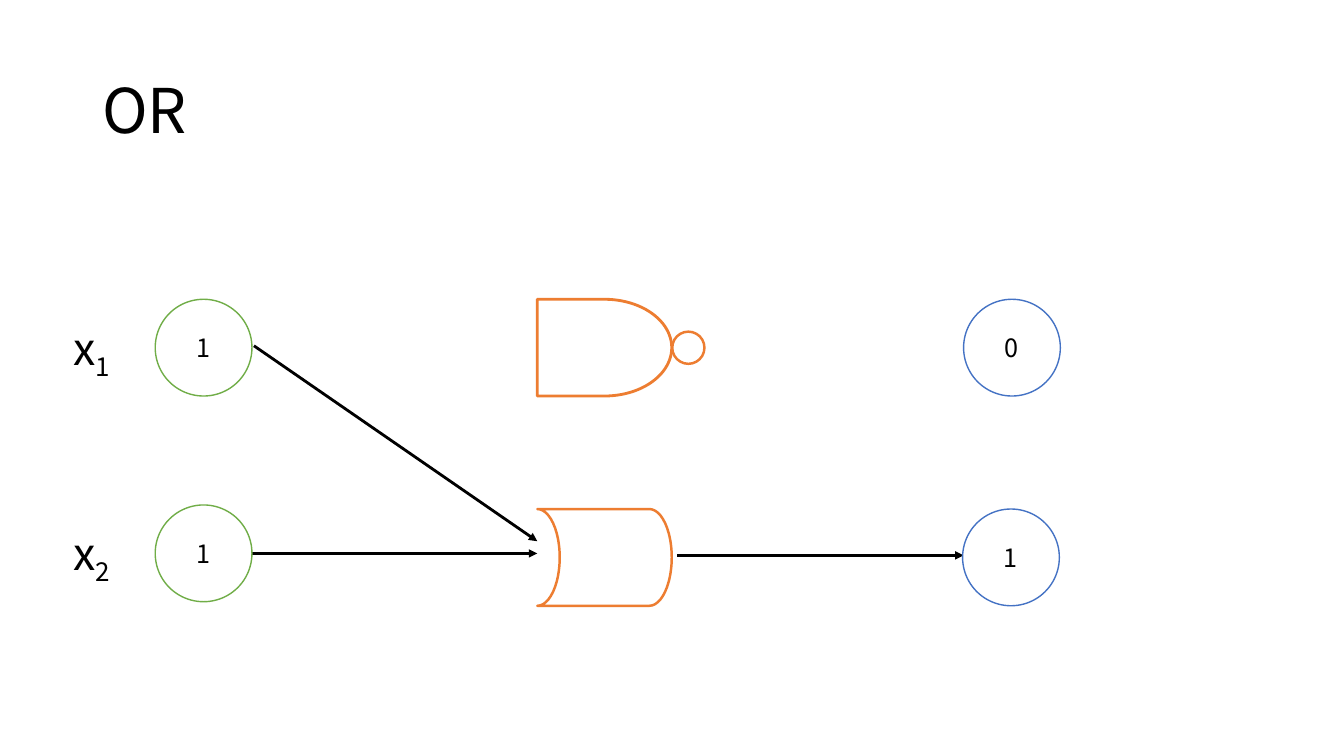
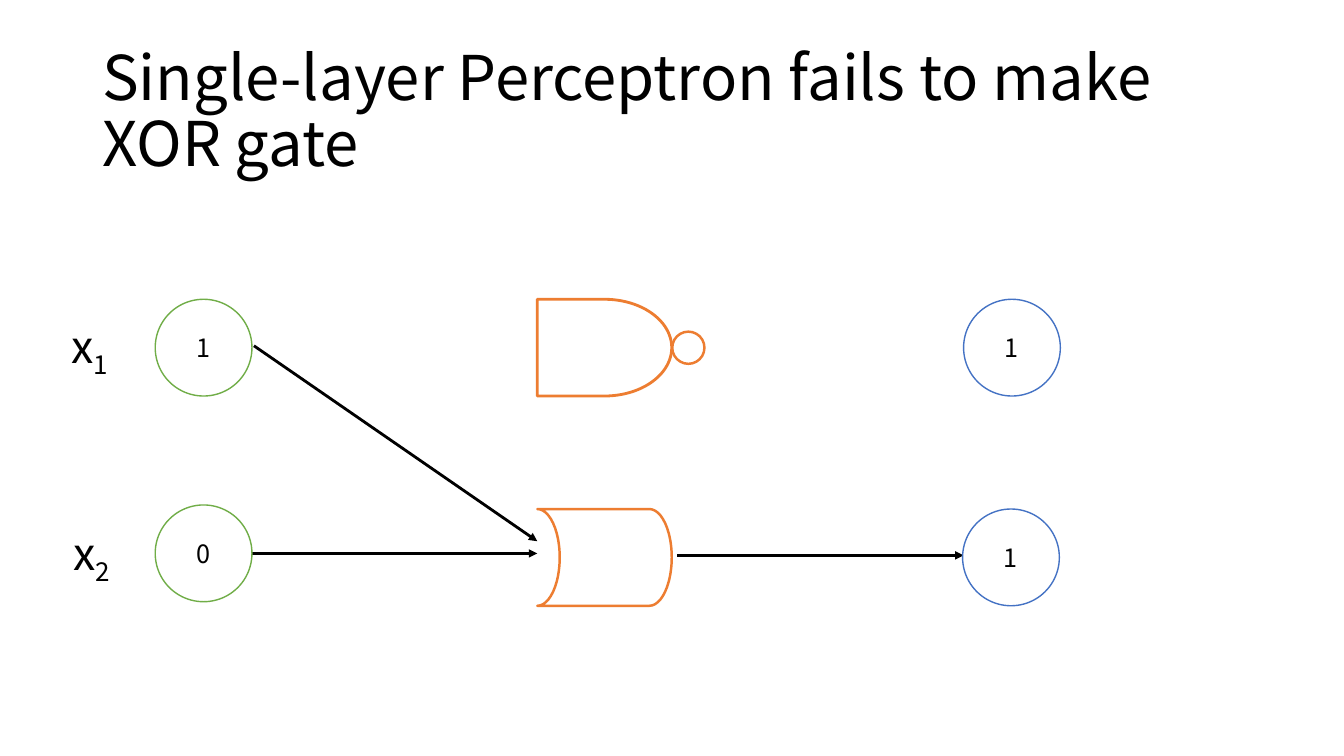
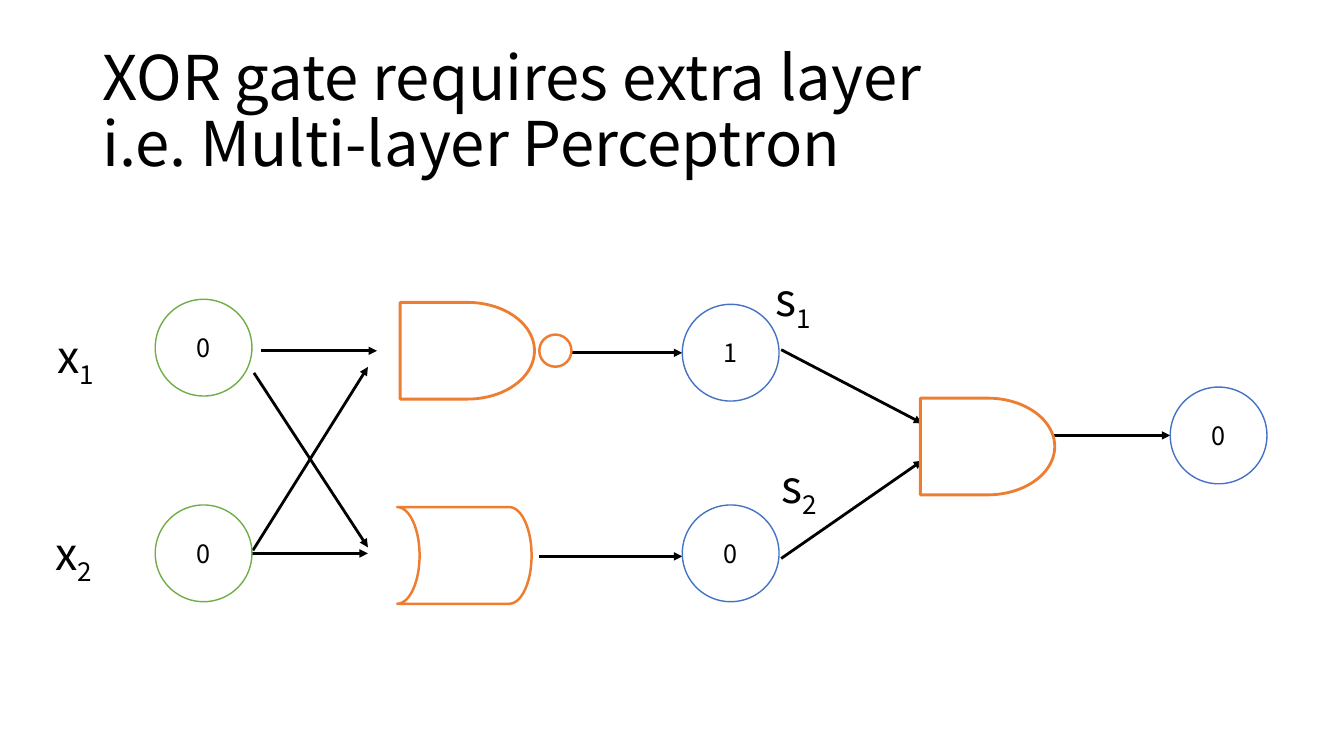
"""Builds three slides on perceptron logic gates."""
from lxml.etree import SubElement
from pptx import Presentation
from pptx.dml.color import RGBColor
from pptx.enum.shapes import MSO_CONNECTOR as Link, MSO_SHAPE as Kind
from pptx.enum.text import MSO_ANCHOR as Anchor, MSO_AUTO_SIZE as Fit, PP_ALIGN as Align
from pptx.oxml.ns import qn
from pptx.util import Pt

FONT = "Noto Sans CJK KR"
BLACK = RGBColor(0x00, 0x00, 0x00)
WHITE = RGBColor(0xFF, 0xFF, 0xFF)
GREEN = RGBColor(0x70, 0xAD, 0x47)
ORANGE = RGBColor(0xED, 0x7D, 0x31)
BLUE = RGBColor(0x44, 0x72, 0xC4)

NODE = 69.1
GATE = 96
BUBBLE = 23
INPUT_X = 110.9
INPUT_Y = (213.8, 360.7)

GATES = {
    "and": (Kind.FLOWCHART_DELAY, GATE, NODE, 2, 0),
    "or": (Kind.FLOWCHART_STORED_DATA, GATE, NODE, 1.75, 180),
    "not": (Kind.OVAL, BUBBLE, BUBBLE, 1.75, 0),
}


def single(title, inputs, outputs, label):
    return {
        "title": title,
        "inputs": inputs,
        "arrows": [
            (179.3, 395.3, 383.8, 395.3),
            (181.4, 247, 383.8, 386.6),
            (483.8, 396.7, 688.3, 396.7),
        ],
        "gates": [("and", 383.8, 213.8), ("or", 383.8, 363.6), ("not", 480.2, 236.9)],
        "outputs": [(outputs[0], 688.3, 213.8), (outputs[1], 687.6, 363.6)],
        "labels": [("x1", *label), ("x2", 45.4, 372.2)],
    }


SLIDES = [
    single("OR", "11", "01", (45.4, 225.4)),
    single("Single-layer Perceptron fails to make XOR gate", "10", "11", (43.9, 223.9)),
    {
        "title": "XOR gate requires extra layer \vi.e. Multi-layer Perceptron",
        "inputs": "00",
        "arrows": [
            (179.3, 395.3, 262.8, 395.3),
            (181.4, 266.4, 262.8, 391),
            (186.5, 250.6, 269.3, 250.6),
            (180.7, 393.1, 262.8, 262.1),
            (385.2, 252, 487.4, 252),
            (385.2, 397.4, 487.4, 397.4),
            (558, 249.8, 658.8, 302.4),
            (558, 398.9, 658.8, 329),
            (753.1, 311, 835.9, 311),
        ],
        "gates": [
            ("and", 285.8, 216),
            ("or", 283.7, 362.2),
            ("not", 385.2, 239),
            ("and", 657.4, 284.4),
        ],
        "outputs": [("1", 487.4, 217.4), ("0", 487.4, 360.7), ("0", 835.9, 276.5)],
        "labels": [
            ("x1", 33.8, 231.1),
            ("x2", 32.4, 372.2),
            ("s1", 547.2, 190.8),
            ("s2", 550.8, 324),
        ],
    },
]


def style(para, size):
    for run in para.runs:
        run.font.name = FONT
        run.font.size = Pt(size)
        run.font.color.rgb = BLACK


def add_text(slide, x, y, wide, high):
    box = slide.shapes.add_textbox(Pt(x), Pt(y), Pt(wide), Pt(high))
    return box.text_frame


def add_title(slide, text):
    frame = add_text(slide, 66, 28.8, 828, 104.4)
    frame.word_wrap = True
    frame.vertical_anchor = Anchor.MIDDLE
    frame.text = text
    para = frame.paragraphs[0]
    para.line_spacing = 0.9
    style(para, 44)


def add_label(slide, name, x, y):
    frame = add_text(slide, x, y, 41.8, 46.1)
    frame.word_wrap = False
    frame.auto_size = Fit.SHAPE_TO_FIT_TEXT
    para = frame.paragraphs[0]
    for char in name:
        para.add_run().text = char
    style(para, 32)
    para.runs[1].font._element.set("baseline", "-25000")


def add_form(slide, kind, x, y, wide, high, color, width):
    form = slide.shapes.add_shape(kind, Pt(x), Pt(y), Pt(wide), Pt(high))
    form.shadow.inherit = False
    form.fill.solid()
    form.fill.fore_color.rgb = WHITE
    form.line.color.rgb = color
    form.line.width = Pt(width)
    return form


def add_node(slide, text, x, y, color):
    frame = add_form(slide, Kind.OVAL, x, y, NODE, NODE, color, 1).text_frame
    frame.text = text
    frame.vertical_anchor = Anchor.MIDDLE
    frame.paragraphs[0].alignment = Align.CENTER
    style(frame.paragraphs[0], 18)


def add_gate(slide, name, x, y):
    kind, wide, high, width, turn = GATES[name]
    add_form(slide, kind, x, y, wide, high, ORANGE, width).rotation = turn


def add_arrow(slide, *ends):
    arrow = slide.shapes.add_connector(Link.STRAIGHT, *map(Pt, ends))
    arrow.line.color.rgb = BLACK
    arrow.line.width = Pt(2)
    SubElement(arrow.line._get_or_add_ln(), qn("a:tailEnd"), type="triangle")
    SubElement(arrow._element.spPr, qn("a:effectLst"))


def build(slide, data):
    add_title(slide, data["title"])
    for ends in data["arrows"]:
        add_arrow(slide, *ends)
    for text, y in zip(data["inputs"], INPUT_Y):
        add_node(slide, text, INPUT_X, y, GREEN)
    for gate in data["gates"]:
        add_gate(slide, *gate)
    for node in data["outputs"]:
        add_node(slide, *node, BLUE)
    for label in data["labels"]:
        add_label(slide, *label)


def main():
    deck = Presentation()
    deck.slide_width, deck.slide_height = Pt(960), Pt(540)
    for data in SLIDES:
        build(deck.slides.add_slide(deck.slide_layouts[6]), data)
    deck.save("out.pptx")


if __name__ == "__main__":
    main()
